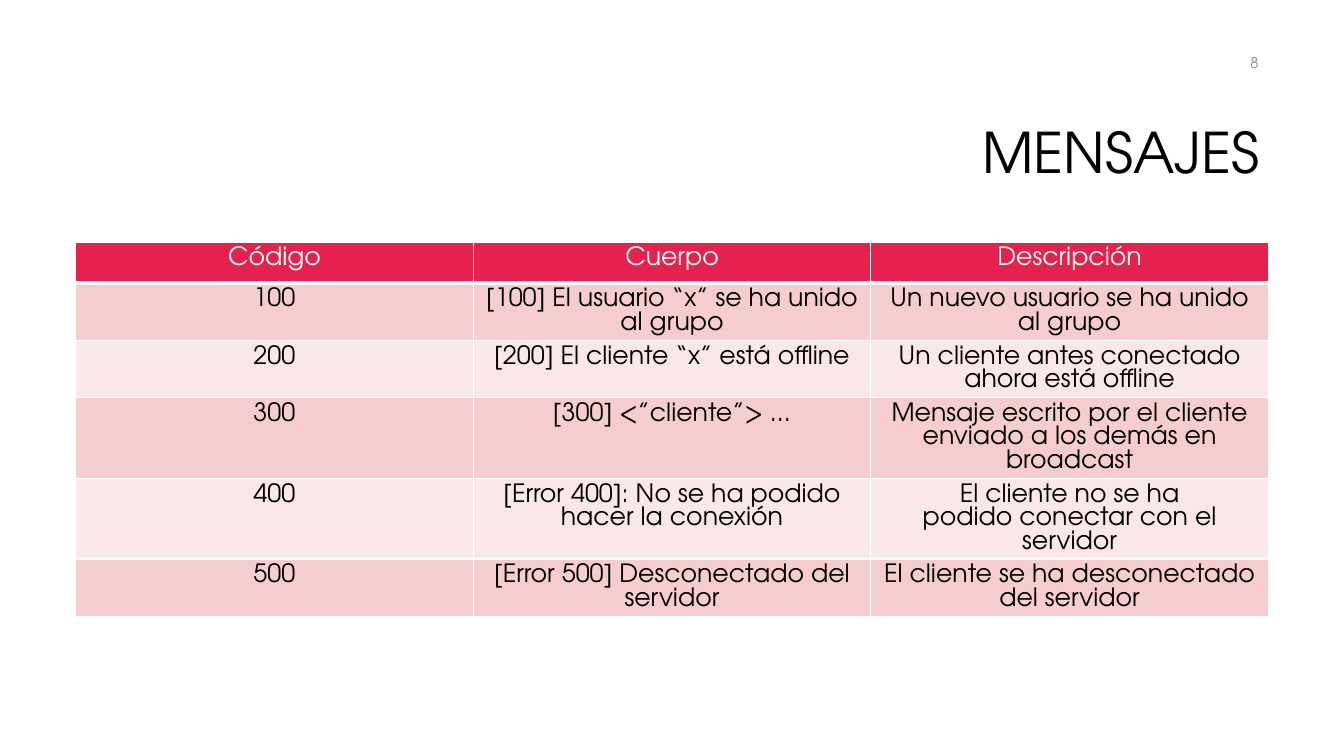
from pptx import Presentation
from pptx.dml.color import RGBColor as RGB
from pptx.enum.text import MSO_ANCHOR as Anchor, PP_ALIGN as Align
from pptx.oxml import parse_xml
from pptx.oxml.ns import nsdecls
from pptx.util import Inches, Pt

FONT = "TeX Gyre Adventor"
WHITE, BLACK, GRAY = "FFFFFF", "000000", "8C8C8C"
RED, ROSE, PALE = "E5224E", "F5CDD0", "FAE8E9"


def write(frame, text, size, color, align):
    """Put each line of text in its own paragraph."""
    for i, line in enumerate(text.split("\n")):
        para = frame.add_paragraph() if i else frame.paragraphs[0]
        para.alignment = align
        run = para.add_run()
        run.text = line
        run.font.name = FONT
        run.font.size = Pt(size)
        run.font.color.rgb = RGB.from_string(color)


def border(cell, side, width):
    """Draw one white edge of a cell."""
    cell._tc.get_or_add_tcPr().append(parse_xml(
        f'<a:{side} {nsdecls("a")} w="{Pt(width)}"><a:solidFill>'
        f'<a:srgbClr val="{WHITE}"/></a:solidFill></a:{side}>'))


deck = Presentation()
deck.slide_width, deck.slide_height = Inches(13.33), Inches(7.5)
slide = deck.slides.add_slide(deck.slide_layouts[5])

# Title
title = slide.shapes.title
title.left, title.top = Inches(3.17), Inches(0.84)
title.width, title.height = Inches(9.42), Inches(1.41)
title.text_frame.vertical_anchor = Anchor.MIDDLE
write(title.text_frame, "MENSAJES", 40, BLACK, Align.RIGHT)
title.text_frame.paragraphs[0].line_spacing = 0.9

# Message table
rows = [
    ("Código", "Cuerpo", "Descripción"),
    ("100", "[100] El usuario “x” se ha unido\nal grupo",
     "Un nuevo usuario se ha unido al grupo"),
    ("200", "[200] El cliente “x” está offline",
     "Un cliente antes conectado ahora está offline"),
    ("300", "[300] <”cliente”> ...",
     "Mensaje escrito por el cliente enviado a los demás en broadcast"),
    ("400", "[Error 400]: No se ha podido\nhacer la conexión",
     "El cliente no se ha\npodido conectar con el servidor"),
    ("500", "[Error 500] Desconectado del\nservidor",
     "El cliente se ha desconectado del servidor"),
]
high = Inches(0.41)
table = slide.shapes.add_table(
    len(rows), 3, Inches(0.75), Inches(2.4), Inches(11.83), high * len(rows)).table
for r, texts in enumerate(rows):
    table.rows[r].height = high
    back = RED if r == 0 else ROSE if r % 2 else PALE
    for c, text in enumerate(texts):
        cell = table.cell(r, c)
        write(cell.text_frame, text, 18, BLACK if r else WHITE, Align.CENTER)
        for side in ("lnL", "lnR", "lnT", "lnB"):
            # The rule between header and body is thicker
            thick = (r, side) in ((0, "lnB"), (1, "lnT"))
            border(cell, side, 3 if thick else 1)
        cell.fill.solid()
        cell.fill.fore_color.rgb = RGB.from_string(back)

# Page number
page = slide.shapes.add_textbox(Inches(9.58), Inches(0.42), Inches(3), Inches(0.4))
page.text_frame.word_wrap = True
page.text_frame.vertical_anchor = Anchor.MIDDLE
write(page.text_frame, "8", 10.5, GRAY, Align.RIGHT)

deck.save("out.pptx")
